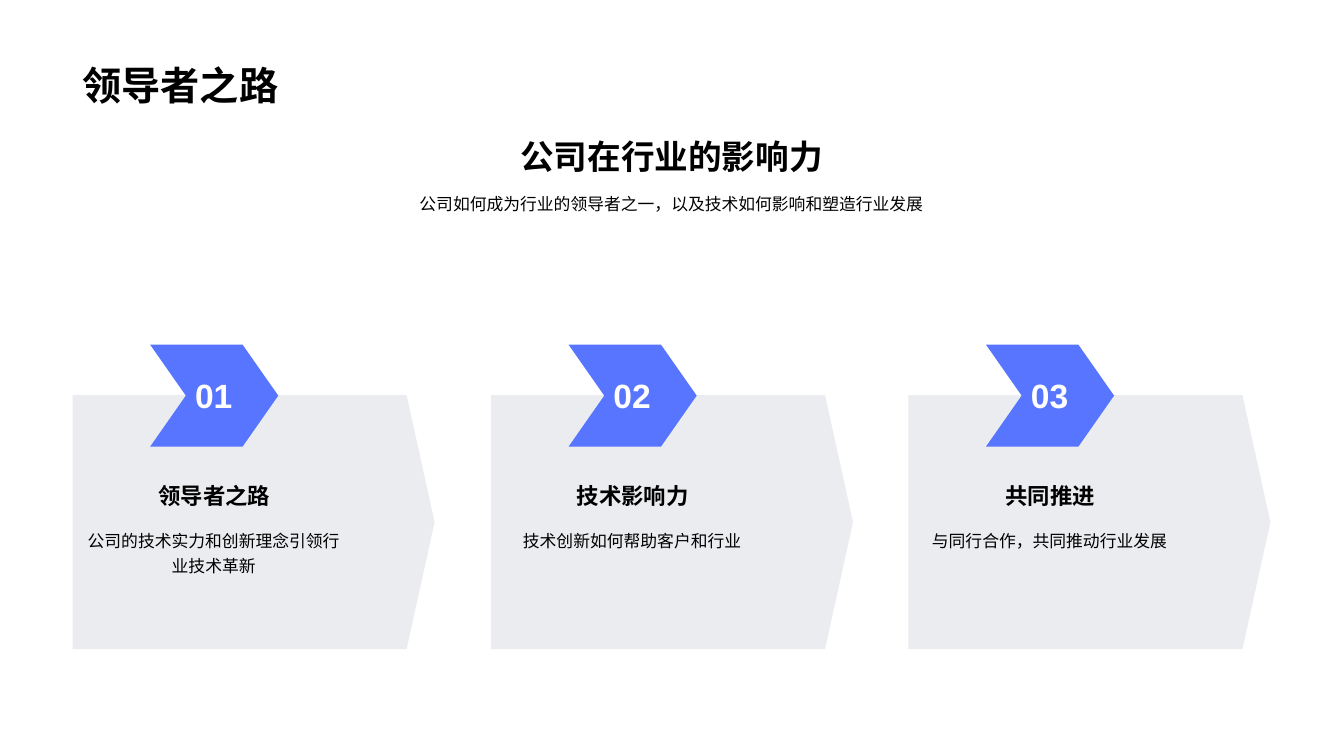
from dataclasses import dataclass

from lxml import etree
from pptx import Presentation
from pptx.dml.color import RGBColor
from pptx.enum.shapes import MSO_SHAPE
from pptx.enum.text import MSO_ANCHOR, MSO_AUTO_SIZE, PP_ALIGN
from pptx.oxml.ns import qn
from pptx.util import Pt

PLATE, ARROW = MSO_SHAPE.PENTAGON, MSO_SHAPE.CHEVRON
TOP, BOTTOM = MSO_ANCHOR.TOP, MSO_ANCHOR.BOTTOM
LEFT, CENTER = PP_ALIGN.LEFT, PP_ALIGN.CENTER
FIXED, GROW = MSO_AUTO_SIZE.NONE, MSO_AUTO_SIZE.SHAPE_TO_FIT_TEXT
SCALE = 9144


@dataclass(frozen=True)
class Theme:
    font: str = "Arial"
    ink: str = "000000"
    light: str = "FFFFFF"
    card: str = "778495"
    accent: str = "5775FF"
    title: int = 28
    head: int = 24
    label: int = 16
    body: int = 12


def assign(target, values):
    for key, value in values.items():
        setattr(target, key, value)


class Painter:
    """Draws styled elements on the current slide."""

    def __init__(self, slide, theme):
        self.slide = slide
        self.theme = theme

    def shape(self, kind, box, color, adjust, alpha=100):
        shape = self.slide.shapes.add_shape(kind, *(n * SCALE for n in box))
        shape.adjustments[0] = adjust
        shape.shadow.inherit = False
        shape.line.fill.background()
        shape.fill.solid()
        shape.fill.fore_color.rgb = RGBColor.from_string(color)
        if alpha < 100:
            tone = shape.fill._xPr.find(".//" + qn("a:srgbClr"))
            etree.SubElement(tone, qn("a:alpha"), val=str(alpha * 1000))

    def text(self, words, box, size, color=None, bold=True, align=CENTER,
             anchor=BOTTOM, fit=GROW, wrap=True, space=None):
        area = self.slide.shapes.add_textbox(*(n * SCALE for n in box))
        frame = area.text_frame
        assign(frame, {"word_wrap": wrap, "auto_size": fit,
                       "vertical_anchor": anchor})
        para = frame.paragraphs[0]
        assign(para, {"alignment": align, "line_spacing": space})
        run = para.add_run()
        run.text = words
        assign(run.font, {"name": self.theme.font, "size": Pt(size),
                          "bold": bold})
        run.font.color.rgb = RGBColor.from_string(color or self.theme.ink)

    def body(self, words, box):
        self.text(words, box, self.theme.body, bold=False, anchor=TOP,
                  space=1.2)

    def card(self, left, number, label, words, height):
        theme = self.theme
        self.shape(PLATE, (left, 392, 359, 252), theme.card, 0.11, 15)
        self.shape(ARROW, (left + 77, 342, 127, 101), theme.accent, 0.35)
        self.text(label, (left + 31, 470, 219, 40), theme.label,
                  fit=FIXED, wrap=False)
        self.body(words, (left, 518, 280, height))
        self.text(number, (left + 111, 367, 58, 50), theme.head,
                  theme.light, wrap=False)


CARDS = [
    ("领导者之路", "公司的技术实力和创新理念引领行业技术革新", 56),
    ("技术影响力", "技术创新如何帮助客户和行业", 32),
    ("共同推进", "与同行合作，共同推动行业发展", 32),
]


def main():
    deck = Presentation()
    assign(deck, {"slide_width": 1333 * SCALE, "slide_height": 750 * SCALE})
    theme = Theme()
    paint = Painter(deck.slides.add_slide(deck.slide_layouts[6]), theme)
    for i, (label, words, height) in enumerate(CARDS):
        left = 72 + (829 * i + 1) // 2
        paint.card(left, f"{i + 1:02}", label, words, height)
    paint.text("公司在行业的影响力", (72, 130, 1188, 50), theme.head)
    paint.body("公司如何成为行业的领导者之一，以及技术如何影响和塑造行业发展",
               (72, 183, 1188, 32))
    paint.text("领导者之路", (72, 0, 1188, 112), theme.title,
               align=LEFT, fit=FIXED)
    deck.save("out.pptx")


if __name__ == "__main__":
    main()
